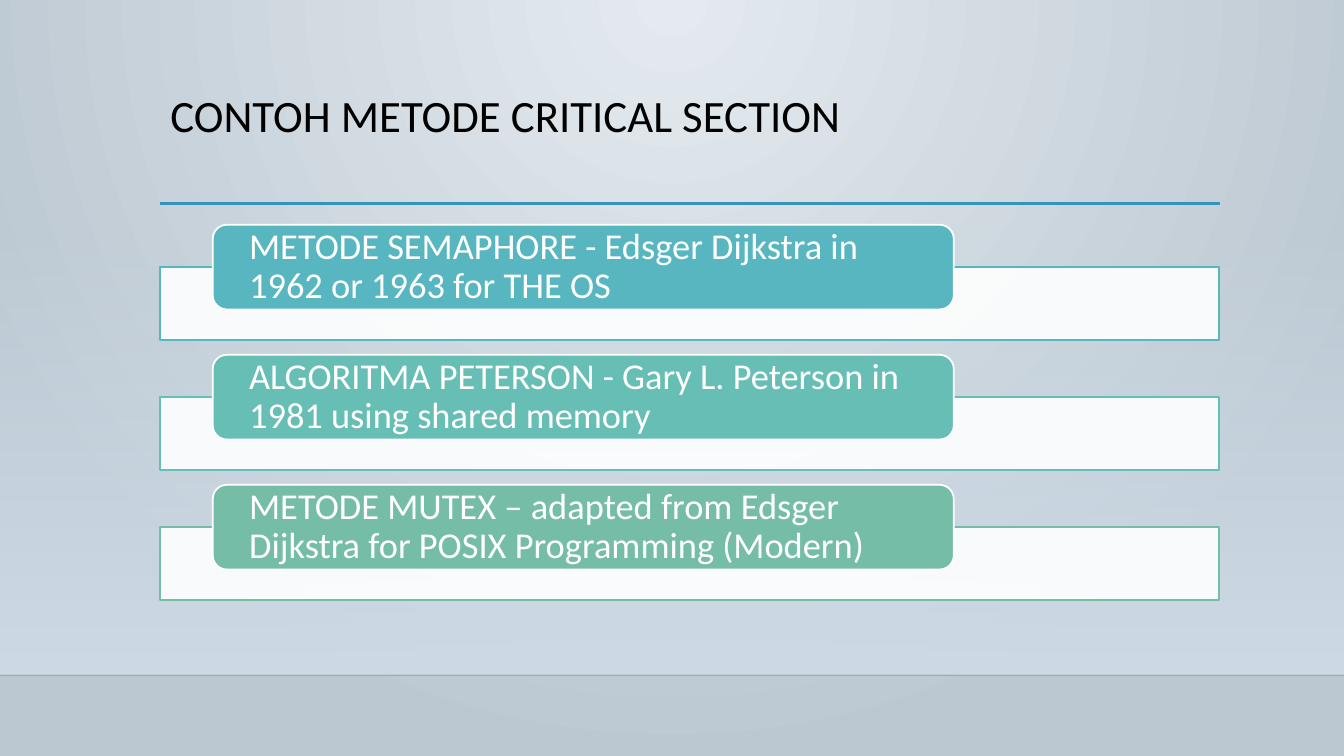
from pptx import Presentation
from pptx.dml.color import RGBColor
from pptx.enum.shapes import MSO_CONNECTOR, MSO_SHAPE
from pptx.enum.text import MSO_ANCHOR, MSO_AUTO_SIZE, PP_ALIGN
from pptx.oxml.ns import qn
from pptx.util import Inches, Pt
from lxml.etree import SubElement

COLORS = {
    "glow": "E4EAEF", "edge": "BBC7D1", "haze": "CEDBE6",
    "rule": "3494BA", "black": "000000", "white": "FFFFFF",
    "cyan": "58B6C0", "teal": "67BEB5", "green": "75BDA7",
}
METHODS = [
    ("cyan", "METODE SEMAPHORE - Edsger Dijkstra in 1962 or 1963 for THE OS"),
    ("teal", "ALGORITMA PETERSON - Gary L. Peterson in 1981 using shared memory"),
    ("green", "METODE MUTEX – adapted from Edsger Dijkstra for POSIX Programming (Modern)"),
]
LEFT, WIDTH = 1.59, 10.5
TOP, STEP = 2.23, 1.29


def color(name):
    return RGBColor.from_string(COLORS[name])


def fade(part, percent):
    """Set the opacity of the first colour found in an XML part."""
    tint = next(part.iter(qn("a:srgbClr")))
    SubElement(tint, qn("a:alpha")).set("val", str(percent * 1000))


def blend(fill, first, last):
    fill.gradient()
    for stop, name in zip(fill.gradient_stops, (first, last)):
        stop.color.rgb = color(name)


def paint_back(slide):
    """Fill the background with a glow that spreads from the top centre."""
    blend(slide.background.fill, "glow", "edge")
    grad = next(slide.element.iter(qn("a:gradFill")))
    grad.remove(grad.find(qn("a:lin")))
    ring = SubElement(grad, qn("a:path"), {"path": "circle"})
    SubElement(ring, qn("a:fillToRect"),
               {"l": "43000", "t": "0", "r": "43000", "b": "100000"})


def write(shape, text, size, ink, anchor, inset, pad=0):
    """Put one left-aligned paragraph in a shape; insets are in inches."""
    frame = shape.text_frame
    frame.word_wrap = True
    frame.auto_size = MSO_AUTO_SIZE.NONE
    frame.vertical_anchor = anchor
    frame.margin_left = frame.margin_right = Inches(inset)
    frame.margin_top = frame.margin_bottom = Inches(pad)
    para = frame.paragraphs[0]
    para.alignment = PP_ALIGN.LEFT
    para.line_spacing = 0.9
    run = para.add_run()
    run.text = text
    run.font.name = "Calibri"
    run.font.size = Pt(size)
    run.font.color.rgb = color(ink)


def add_box(slide, kind, box, fill=None, line=None):
    shape = slide.shapes.add_shape(kind, *map(Inches, box))
    shape.shadow.inherit = False
    if fill:
        shape.fill.solid()
        shape.fill.fore_color.rgb = color(fill)
    if line:
        shape.line.color.rgb = color(line)
        shape.line.width = Pt(1.25)
    else:
        shape.line.fill.background()
    return shape


def add_rule(slide, left, right, y, ink, width):
    rule = slide.shapes.add_connector(
        MSO_CONNECTOR.STRAIGHT, *map(Inches, (left, y, right, y)))
    rule.line.color.rgb = color(ink)
    rule.line.width = Pt(width)
    SubElement(rule.element.spPr, qn("a:effectLst"))
    return rule


def add_haze(slide):
    haze = add_box(slide, MSO_SHAPE.RECTANGLE, (0, 2.21, 13.33, 4.49))
    blend(haze.fill, "haze", "haze")
    haze.fill.gradient_angle = 270
    fade(haze.element.spPr, 0)


def add_title(slide, text):
    title = slide.shapes.title
    title.left, title.top = Inches(LEFT), Inches(0.88)
    title.width, title.height = Inches(WIDTH), Inches(1.15)
    write(title, text, size=32, ink="black", anchor=MSO_ANCHOR.TOP,
          inset=0.1, pad=0.05)


def add_method(slide, top, tint, text):
    bar = add_box(slide, MSO_SHAPE.RECTANGLE, (LEFT, top + 0.42, WIDTH, 0.72),
                  fill="white", line=tint)
    fade(bar.element.spPr, 90)
    label = add_box(slide, MSO_SHAPE.ROUNDED_RECTANGLE,
                    (2.11, top, 7.35, 0.84), fill=tint, line="white")
    write(label, text, size=26, ink="white", anchor=MSO_ANCHOR.MIDDLE,
          inset=0.32)


def main():
    deck = Presentation()
    deck.slide_width, deck.slide_height = Inches(13.33), Inches(7.5)
    slide = deck.slides.add_slide(deck.slide_layouts[5])
    paint_back(slide)
    add_haze(slide)
    floor = add_rule(slide, 0, 13.33, 6.7, "black", 1)
    fade(floor.element.spPr, 20)
    add_rule(slide, LEFT, 12.1, 2.02, "rule", 2.5)
    add_title(slide, "CONTOH METODE CRITICAL SECTION")
    for row, (tint, text) in enumerate(METHODS):
        add_method(slide, TOP + row * STEP, tint, text)
    deck.save("out.pptx")


if __name__ == "__main__":
    main()
